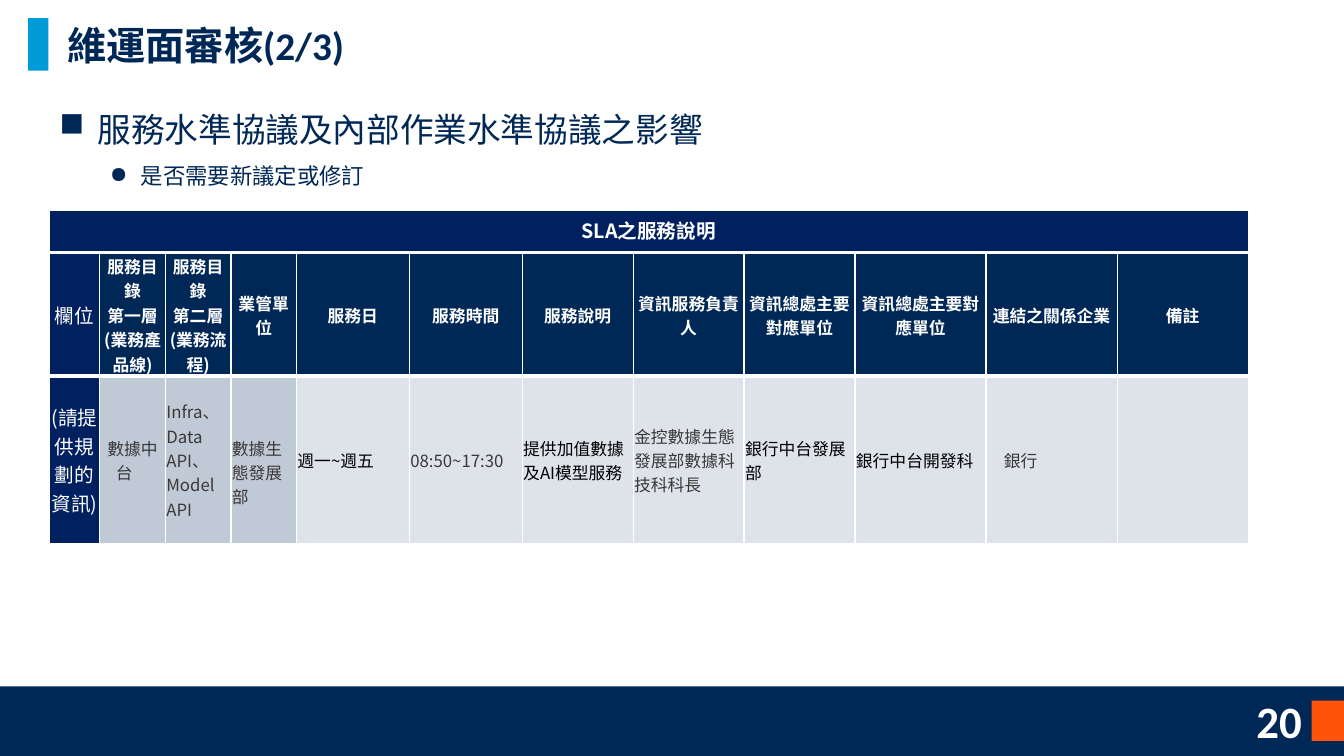
import pptx
import pptx.util
import pptx.dml.color
import pptx.enum.shapes
import pptx.enum.text
from lxml import etree

NAVY, DEEP, WHITE, GREY, BLACK = "002856", "002060", "FFFFFF", "3B3838", "000000"
MIST, PALE = "C0CAD6", "DEE3EA"
LATIN, CJK = "Calibri", "Noto Sans CJK SC"
ALIGN = pptx.enum.text.PP_ALIGN
MIDDLE = pptx.enum.text.MSO_ANCHOR.MIDDLE
INCH = pptx.util.Inches
SLIDE_W, SLIDE_H = 13.33, 7.5

COLUMNS = [0.5, 0.65, 0.65, 0.65, 1.12, 1.12, 1.1, 1.1, 1.1, 1.3, 1.3, 1.3]
HEADINGS = ["欄位", "服務目錄\n第一層\n(業務產品線)", "服務目錄\n第二層\n(業務流程)",
            "業管單位", "服務日", "服務時間", "服務說明", "資訊服務負責人",
            "資訊總處主要對應單位", "資訊總處主要對應單位", "連結之關係企業", "備註"]
PLAN = [("(請提供規劃的資訊)", WHITE), ("數據中台　", GREY),
        ("Infra、Data API、Model API", GREY), ("數據生態發展部", GREY),
        ("週一~週五", BLACK), ("08:50~17:30", GREY), ("提供加值數據及AI模型服務", BLACK),
        ("金控數據生態發展部數據科技科科長", GREY), ("銀行中台發展部", BLACK),
        ("銀行中台開發科", BLACK), ("　銀行", GREY), ("", GREY)]
OWNER_COLUMN = 3


def color(value):
    """Turn a hex string into a colour."""
    return pptx.dml.color.RGBColor.from_string(value)


def child(parent, tag, **attributes):
    """Append a DrawingML element."""
    return etree.SubElement(parent, pptx.oxml.ns.qn(tag), attributes)


def write(paragraph, text, size, ink, bold=False, font=LATIN):
    """Add text to a paragraph, one run for each line."""
    for number, line in enumerate(text.split("\n")):
        if number:
            paragraph.add_line_break()
        run = paragraph.add_run()
        run.text = line
        run.font.size = pptx.util.Pt(size)
        run.font.bold = bold
        run.font.name = font
        run.font.color.rgb = color(ink)
        child(run.font._element, "a:ea", typeface=CJK)


def block(slide, box, fill):
    """Draw a plain filled rectangle."""
    shape = slide.shapes.add_shape(
        pptx.enum.shapes.MSO_SHAPE.RECTANGLE, *map(INCH, box))
    shape.shadow.inherit = False
    shape.fill.solid()
    shape.fill.fore_color.rgb = color(fill)
    shape.line.fill.background()


def text_frame(slide, box):
    """Add a wrapping text box and return its frame."""
    frame = slide.shapes.add_textbox(*map(INCH, box)).text_frame
    frame.word_wrap = True
    return frame


def backdrop(slide, box):
    """Place the navy background, the white panel and the footer number."""
    left, top, width, height = box
    slide.background.fill.solid()
    slide.background.fill.fore_color.rgb = color(NAVY)
    footer = top + height - 0.55
    block(slide, (left + width - 0.32, footer, 0.32, 0.4), "FF540A")
    block(slide, (left, top, width, height - 0.69), WHITE)
    page = text_frame(slide, (left + width - 1.14, footer, 0.82, 0.4))
    page.vertical_anchor = MIDDLE
    page.paragraphs[0].alignment = ALIGN.RIGHT
    write(page.paragraphs[0], "20", 32, WHITE, True)


def heading(slide, box):
    """Place the accent bar and the slide title."""
    left, top, width, height = box
    block(slide, (left, top, 0.2, height), "009AD7")
    title = text_frame(slide, (left + 0.29, top + 0.03, width - 0.29, height))
    title.vertical_anchor = MIDDLE
    title.paragraphs[0].line_spacing = 0.9
    write(title.paragraphs[0], "維運面審核(2/3)", 28, NAVY, True)


def review_points(slide, box):
    """Place the two bullet levels."""
    frame = text_frame(slide, box)
    points = [("服務水準協議及內部作業水準協議之影響", 24, "■", 0.38, 0.38),
              ("是否需要新議定或修訂", 16, "●", 0.81, 0.31)]
    for level, (text, size, mark, margin, hanging) in enumerate(points):
        paragraph = frame.add_paragraph() if level else frame.paragraphs[0]
        paragraph.level = level
        paragraph.line_spacing = 1.5
        properties = paragraph._p.get_or_add_pPr()
        properties.set("marL", str(INCH(margin)))
        properties.set("indent", str(-INCH(hanging)))
        child(properties, "a:buChar", char=mark)
        write(paragraph, text, size, NAVY)


def paint(cell, fill, bottom):
    """Give a cell its white borders and its fill."""
    properties = cell._tc.get_or_add_tcPr()
    for side, points in zip("LRTB", (1, 1, 1, bottom)):
        line = child(properties, "a:ln" + side, w=str(pptx.util.Pt(points)))
        child(child(line, "a:solidFill"), "a:srgbClr", val=WHITE)
    cell.fill.solid()
    cell.fill.fore_color.rgb = color(fill)


def grid(slide, left, top, columns, rows):
    """Add an unstyled table with the given column widths and row heights."""
    table = slide.shapes.add_table(
        len(rows), len(columns), INCH(left), INCH(top),
        INCH(sum(columns)), INCH(sum(rows))).table
    table.first_row = table.horz_banding = False
    for column, width in zip(table.columns, columns):
        column.width = INCH(width)
    for row, height in zip(table.rows, rows):
        row.height = INCH(height)
    return table


def fill_cell(cell, text, size, ink, bold, centred):
    """Write a tightly inset, vertically centred cell."""
    cell.vertical_anchor = MIDDLE
    cell.margin_left = cell.margin_right = cell.margin_top = INCH(0.01)
    cell.margin_bottom = 0
    paragraph = cell.text_frame.paragraphs[0]
    paragraph.alignment = ALIGN.CENTER if centred else ALIGN.LEFT
    if text:
        write(paragraph, text, size, ink, bold, CJK)


def service_table(slide, box):
    """Place the caption bar and the service description table below it."""
    left, top, width, height = box
    caption_height, header_height = 0.42, 1.22
    caption = grid(slide, left, top, [width], [caption_height]).cell(0, 0)
    paint(caption, DEEP, 3)
    caption.text_frame.paragraphs[0].alignment = ALIGN.CENTER
    write(caption.text_frame.paragraphs[0], "SLA之服務說明", 14, WHITE, True, CJK)

    table = grid(slide, left, top + caption_height, COLUMNS,
                 [header_height, height - caption_height - header_height])
    for column, (label, (entry, ink)) in enumerate(zip(HEADINGS, PLAN)):
        first = column == 0
        size = 14 if first else 12
        header, body = table.cell(0, column), table.cell(1, column)
        paint(header, DEEP if first else NAVY, 3)
        fill_cell(header, label, size, WHITE, not first, True)
        paint(body, DEEP if first else MIST if column <= OWNER_COLUMN else PALE, 1)
        fill_cell(body, entry, size, ink, False, column < 2)
    table.cell(1, OWNER_COLUMN).margin_top = INCH(0.25)


def main():
    """Build and save the slide."""
    deck = pptx.Presentation()
    deck.slide_width, deck.slide_height = INCH(SLIDE_W), INCH(SLIDE_H)
    slide = deck.slides.add_slide(deck.slide_layouts[6])
    backdrop(slide, (0, 0, SLIDE_W, SLIDE_H))
    heading(slide, (0.28, 0.18, 7.11, 0.52))
    review_points(slide, (0.49, 0.83, SLIDE_W / 2, 1.07))
    service_table(slide, (0.49, 2.09, sum(COLUMNS), 3.3))
    deck.save("out.pptx")


if __name__ == "__main__":
    main()
